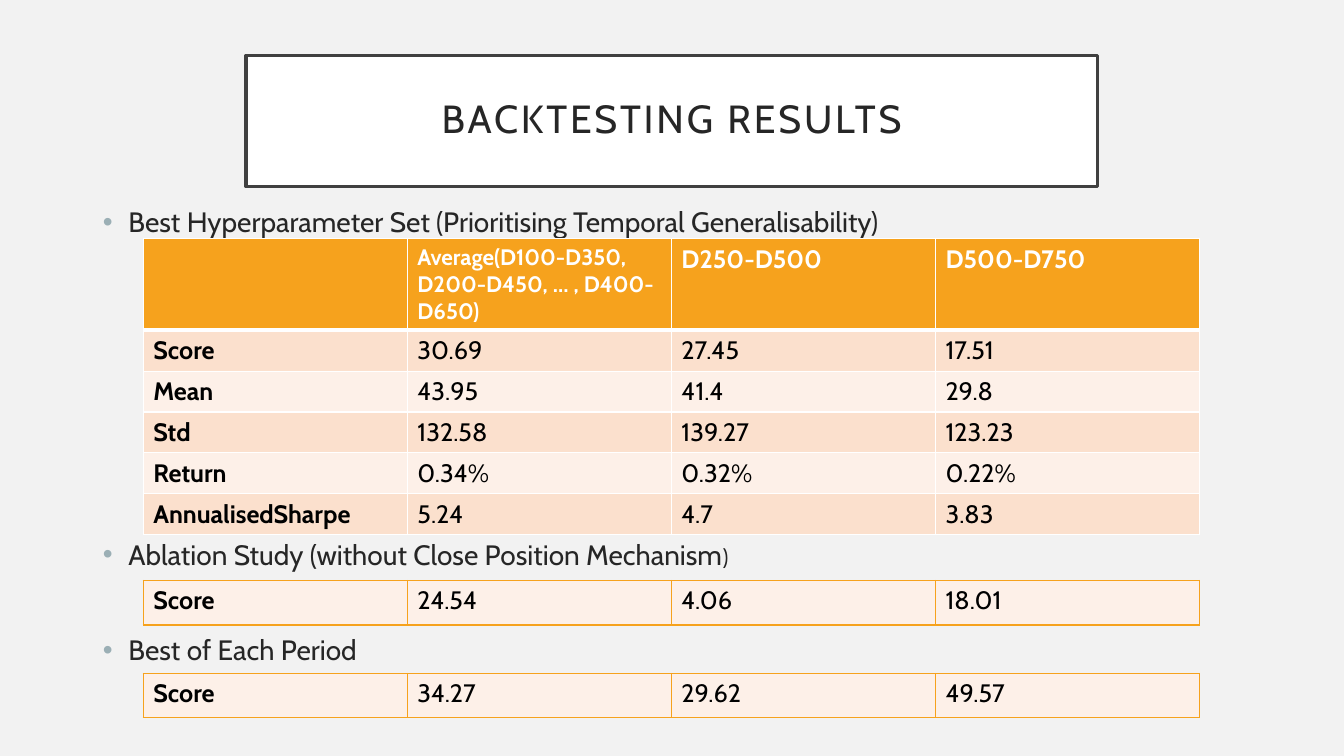
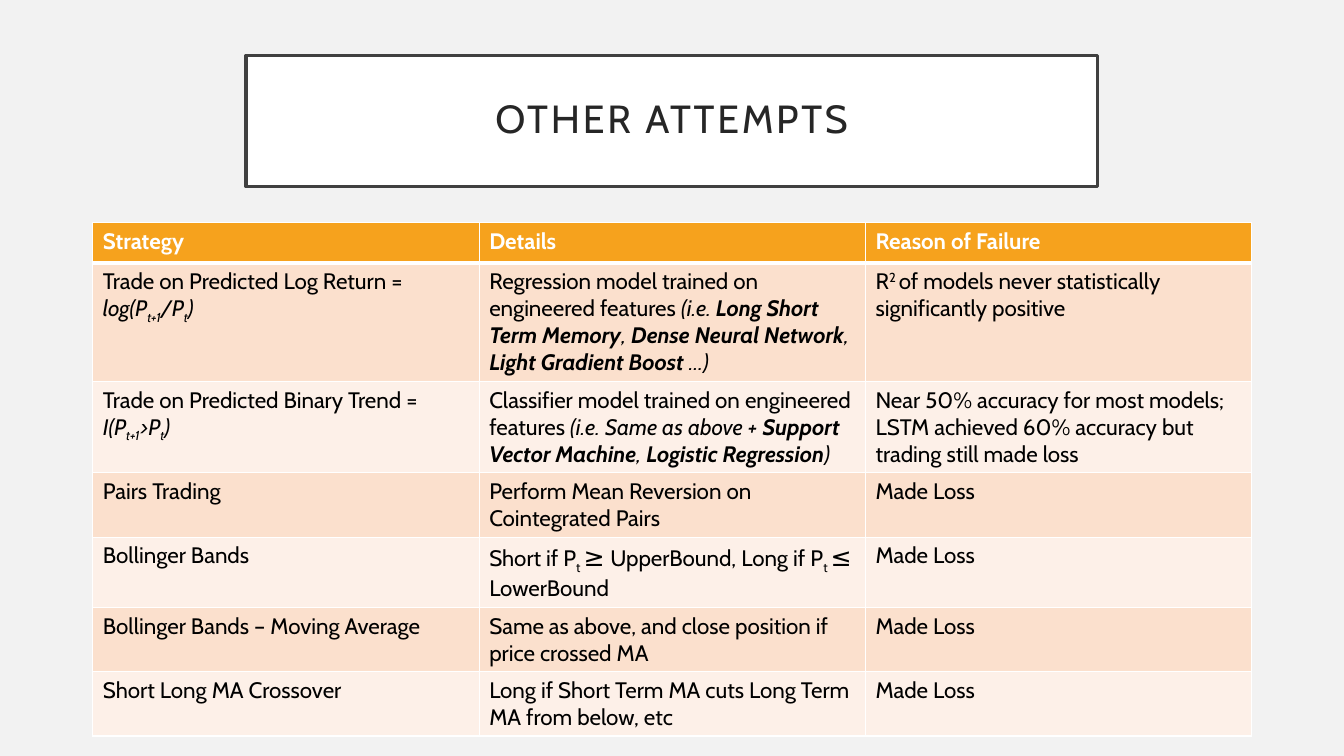
import pptx
import pptx.dml.color
import pptx.enum.text
import pptx.oxml
import pptx.oxml.ns
import pptx.util
from lxml import etree

Cm, Pt = pptx.util.Cm, pptx.util.Pt
qn = pptx.oxml.ns.qn

FONT = "Cabin"
PAPER, WHITE, BLACK = "F2F2F2", "FFFFFF", "000000"
FRAME, INK, BULLET = "404040", "262626", "9BAFB5"
ORANGE, BAND_DARK, BAND_LIGHT = "F6A21D", "FBE0CD", "FDF0E8"

TITLE_BOX = (6.2, 1.4, 21.46, 3.3)
BODY_BOX = (2.34, 5.03, 29.21, 12.1)
BASELINES = {"sub": "-25000", "sup": "30000"}

RESULTS = [
    ["", [("Average(D100-D350, D200-D450, … , D400-D650)", "16")], "D250-D500", "D500-D750"],
    ["Score", "30.69", "27.45", "17.51"],
    ["Mean", "43.95", "41.4", "29.8"],
    ["Std", "132.58", "139.27", "123.23"],
    ["Return", "0.34%", "0.32%", "0.22%"],
    ["AnnualisedSharpe", "5.24", "4.7", "3.83"],
]
ABLATION = [["Score", "24.54", "4.06", "18.01"]]
BEST = [["Score", "34.27", "29.62", "49.57"]]

# A cell is plain text or a list of (text, styles) runs.
ATTEMPTS = [
    ["Strategy", "Details", "Reason of Failure"],
    [[("Trade on Predicted Log Return = ", ""), ("log(P", "i"), ("t+1", "i sub"),
      ("/P", "i"), ("t", "i sub"), (")", "i")],
     [("Regression model trained on engineered features ", ""), ("(i.e. ", "i"),
      ("Long Short Term Memory", "i b"), (", ", "i"), ("Dense Neural Network", "i b"),
      (", ", "i"), ("Light Gradient Boost ", "i b"), ("…)", "i")],
     [("R", ""), ("2 ", "sup"), ("of models never statistically significantly positive", "")]],
    [[("Trade on Predicted Binary Trend = ", ""), ("I(P", "i"), ("t+1", "i sub"),
      (">P", "i"), ("t", "i sub"), (")", "i")],
     [("Classifier model trained on engineered features ", ""),
      ("(i.e. Same as above + ", "i"), ("Support Vector Machine", "i b"), (", ", "i"),
      ("Logistic Regression", "i b"), (")", "i")],
     "Near 50% accuracy for most models; LSTM achieved 60% accuracy but trading still made loss"],
    ["Pairs Trading", "Perform Mean Reversion on Cointegrated Pairs", "Made Loss"],
    ["Bollinger Bands",
     [("Short if P", ""), ("t ", "sub"), ("≥ ", "18"), ("UpperBound, Long if P", ""),
      ("t ", "sub"), ("≤", "18"), (" LowerBound", "")],
     "Made Loss"],
    ["Bollinger Bands – Moving Average",
     "Same as above, and close position if price crossed MA", "Made Loss"],
    ["Short Long MA Crossover",
     "Long if Short Term MA cuts Long Term MA from below, etc", "Made Loss"],
]


def rgb(value):
    return pptx.dml.color.RGBColor.from_string(value)


def paint(fill, color):
    fill.solid()
    fill.fore_color.rgb = rgb(color)


def place(sp, box):
    sp.left, sp.top, sp.width, sp.height = (Cm(v) for v in box)


def add_run(p, text, size, color, bold=False, styles=""):
    """Add one run; styles may hold i, b, sub, sup or a point size."""
    marks = styles.split()
    r = p.add_run()
    r.text = text
    font = r.font
    font.name = FONT
    font.size = Pt(next((int(m) for m in marks if m.isdigit()), size))
    font.bold = bold or "b" in marks
    font.italic = "i" in marks
    font.color.rgb = rgb(color)
    for mark in marks:
        if mark in BASELINES:
            font._element.set("baseline", BASELINES[mark])
    return r


def add_title(slide, text, box=TITLE_BOX):
    sp = slide.shapes.title
    place(sp, box)
    paint(sp.fill, WHITE)
    sp.line.color.rgb = rgb(FRAME)
    sp.line.width = Pt(2.5)
    tf = sp.text_frame
    tf.auto_size = pptx.enum.text.MSO_AUTO_SIZE.NONE
    tf.vertical_anchor = pptx.enum.text.MSO_ANCHOR.MIDDLE
    tf.margin_left = tf.margin_right = tf.margin_top = tf.margin_bottom = Cm(0.5)
    p = tf.paragraphs[0]
    p.alignment = pptx.enum.text.PP_ALIGN.CENTER
    p.line_spacing = 0.9
    add_run(p, text, 28, INK).font._element.set("spc", "200")


def set_bullet(p):
    pPr = p._p.get_or_add_pPr()
    pPr.set("marL", str(Cm(0.64)))
    pPr.set("indent", str(-Cm(0.64)))
    color = etree.SubElement(pPr, qn("a:buClr"))
    etree.SubElement(color, qn("a:srgbClr"), val=BULLET)
    etree.SubElement(pPr, qn("a:buFont"), typeface="Arial")
    etree.SubElement(pPr, qn("a:buChar"), char="•")


def add_headings(slide, headings, box):
    """Fill the body with bullets, each a (space before, runs) pair."""
    sp = slide.placeholders[1]
    place(sp, box)
    tf = sp.text_frame
    tf.auto_size = pptx.enum.text.MSO_AUTO_SIZE.NONE
    for i, (space, runs) in enumerate(headings):
        p = tf.add_paragraph() if i else tf.paragraphs[0]
        p.space_before = Pt(space)
        set_bullet(p)
        for text, styles in runs:
            add_run(p, text, 20, INK, styles=styles)


def set_borders(cell, color, bottom=1):
    tcPr = cell._tc.get_or_add_tcPr()
    for i, (side, width) in enumerate(zip("LRTB", (1, 1, 1, bottom))):
        ln = etree.Element(qn(f"a:ln{side}"), w=str(Pt(width)))
        fill = etree.SubElement(ln, qn("a:solidFill"))
        etree.SubElement(fill, qn("a:srgbClr"), val=color)
        tcPr.insert(i, ln)


def add_grid(slide, rows, left, top, width, heights, size,
             header=True, bold_first=True, border=WHITE):
    cols = len(rows[0])
    frame = slide.shapes.add_table(len(rows), cols, Cm(left), Cm(top),
                                   Cm(width), Cm(sum(heights)))
    table = frame.table
    for column in table.columns:
        column.width = Cm(width / cols)
    for i, (row, height) in enumerate(zip(rows, heights)):
        table.rows[i].height = Cm(height)
        is_header = header and i == 0
        band = ORANGE if is_header else BAND_DARK if i % 2 else BAND_LIGHT
        for j, content in enumerate(row):
            cell = table.cell(i, j)
            paint(cell.fill, band)
            set_borders(cell, border, 3 if is_header else 1)
            runs = [(content, "")] if isinstance(content, str) else content
            for text, styles in runs:
                if text:
                    add_run(cell.text_frame.paragraphs[0], text, size,
                            WHITE if is_header else BLACK,
                            is_header or (bold_first and j == 0), styles)


def build_results(prs):
    slide = prs.slides.add_slide(prs.slide_layouts[1])
    add_title(slide, "BACKTESTING RESULTS")
    add_headings(slide, [
        (0, [("Best Hyperparameter Set (Prioritising Temporal Generalisability)", "")]),
        (213.5, [("Ablation Study (without Close Position Mechanism", ""), (")", "16")]),
        (44.3, [("Best of Each Period", "")]),
    ], BODY_BOX)
    left, width = BODY_BOX[0] + 1.27, 26.62
    add_grid(slide, RESULTS, left, 6.02, width, [2.3] + [1.03] * 5, 18)
    for rows, top in ((ABLATION, 14.63), (BEST, 16.97)):
        add_grid(slide, rows, left, top, width, [1.12], 18, header=False, border=ORANGE)


def build_attempts(prs):
    slide = prs.slides.add_slide(prs.slide_layouts[5])
    add_title(slide, "OTHER ATTEMPTS")
    add_grid(slide, ATTEMPTS, BODY_BOX[0], 5.61, BODY_BOX[2],
             [1.02, 2.97, 2.29, 1.62, 1.77, 1.62, 1.62], 16, bold_first=False)


def main():
    prs = pptx.Presentation()
    prs.slide_width, prs.slide_height = Cm(33.87), Cm(19.05)
    paint(prs.slide_master.background.fill, PAPER)
    build_results(prs)
    build_attempts(prs)
    prs.save("out.pptx")


if __name__ == "__main__":
    main()
